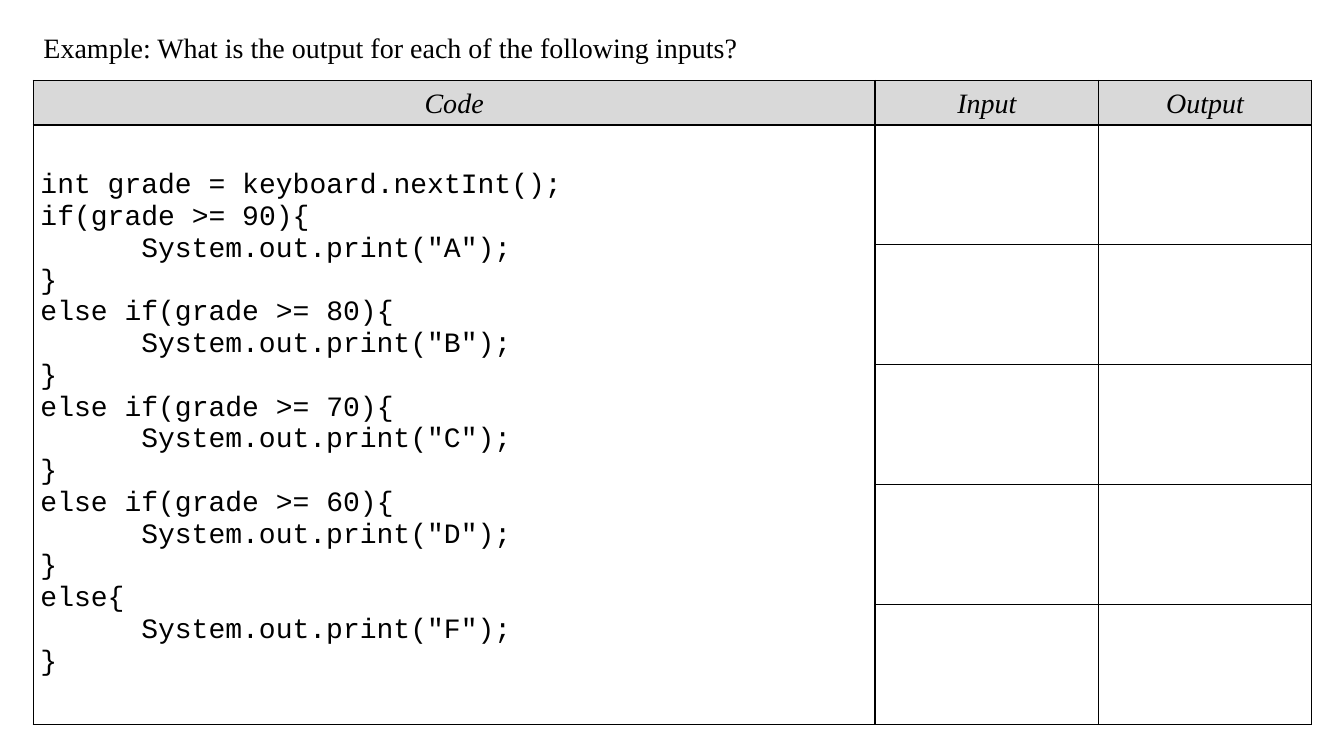
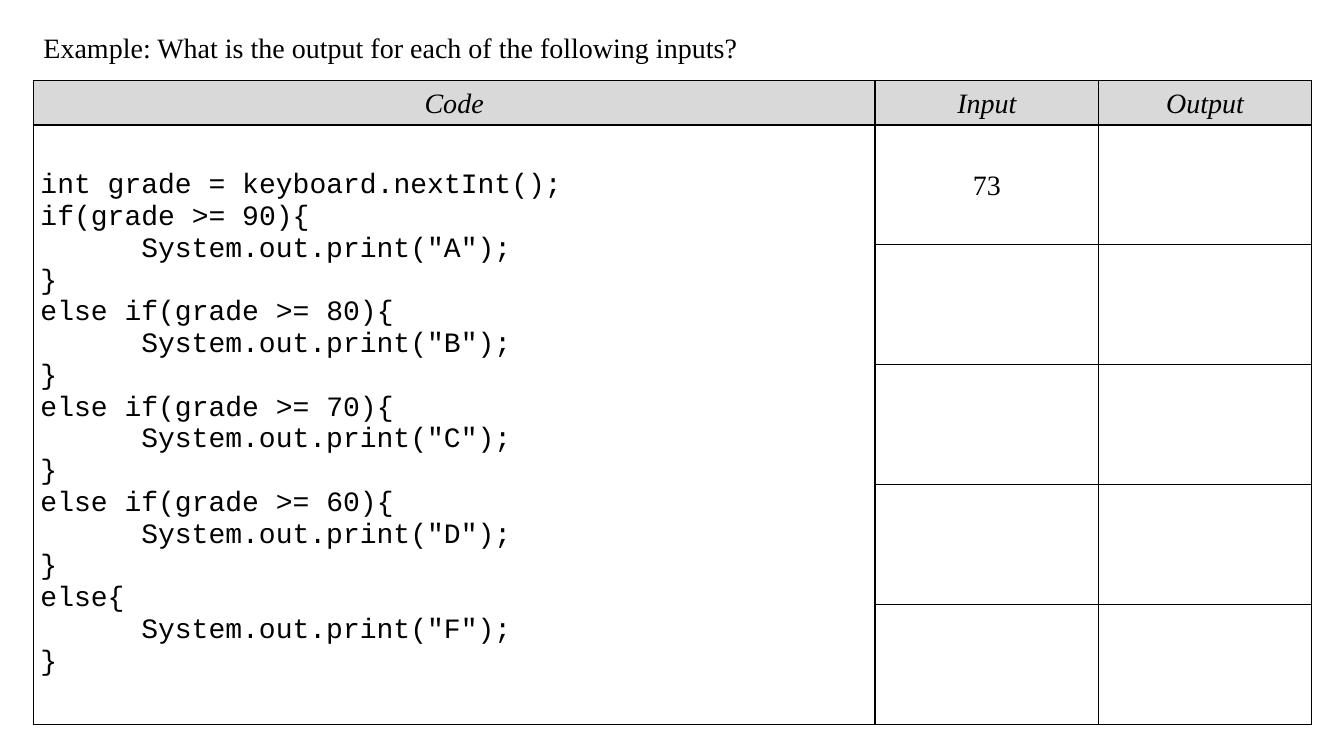
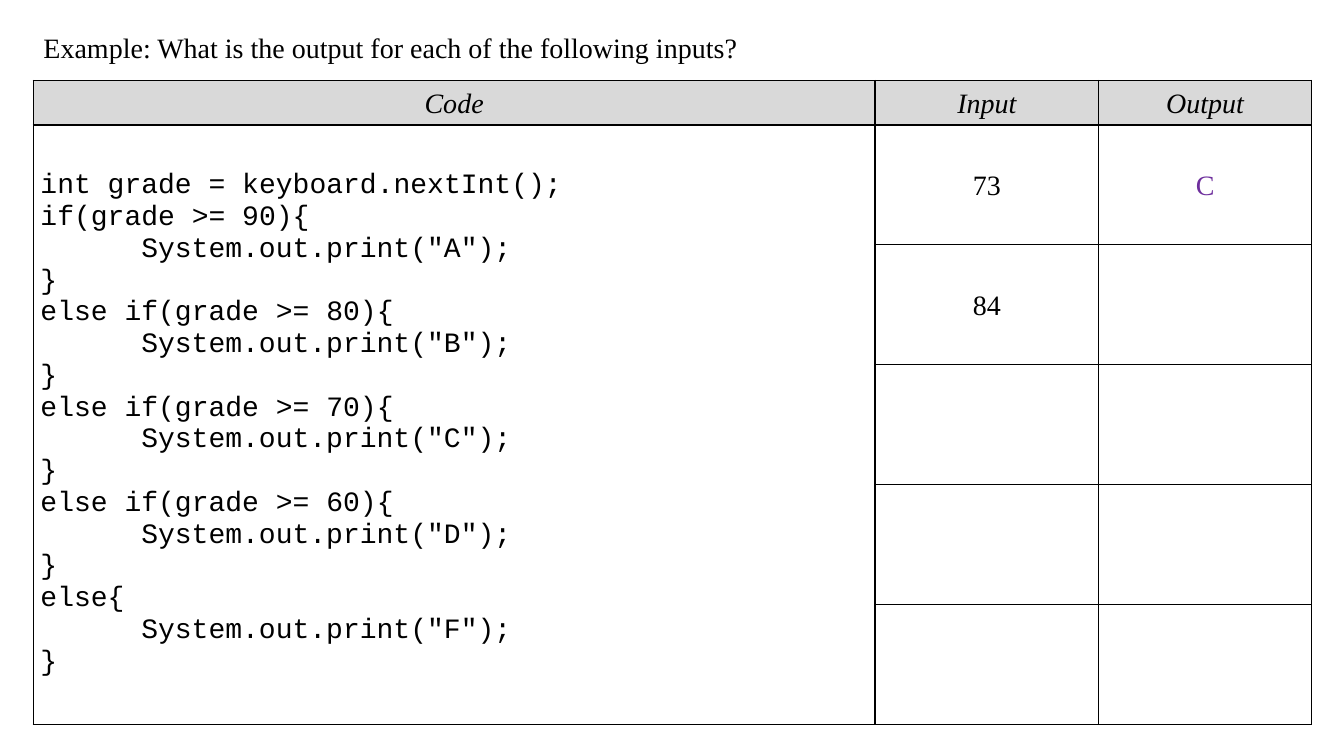
from lxml import etree
from pptx import Presentation
from pptx import util as u
from pptx.dml.color import RGBColor
from pptx.enum import text
from pptx.oxml.ns import qn

BLACK = RGBColor(0x00, 0x00, 0x00)
GREY = RGBColor(0xD9, 0xD9, 0xD9)
PURPLE = RGBColor(0x6E, 0x2F, 0x9D)
SERIF = "Times New Roman"
MONO = "Courier New"

TITLE = "Example: What is the output for each of the following inputs?"
HEADINGS = ["Code", "Input", "Output"]
COLUMN_WIDTHS = [21.21, 5.64, 5.36]
ROW_HEIGHTS = [1.12] + [3.02] * 5
CODE = """int grade = keyboard.nextInt();
if(grade >= 90){
\tSystem.out.print("A");
}
else if(grade >= 80){
\tSystem.out.print("B");
}
else if(grade >= 70){
\tSystem.out.print("C");
}
else if(grade >= 60){
\tSystem.out.print("D");
}
else{
\tSystem.out.print("F");
}"""

# Input and output pairs revealed on each slide
STEPS = [
    [],
    [("73", "")],
    [("73", "C"), ("84", "")],
]


def add_span(para, words, font=SERIF, color=BLACK, italic=False):
    span = para.add_run()
    span.text = words
    span.font.name = font
    span.font.size = u.Pt(20)
    span.font.italic = italic
    span.font.color.rgb = color


def fill_centred(cell, words, color=BLACK, italic=False):
    para = cell.text_frame.paragraphs[0]
    para.alignment = text.PP_ALIGN.CENTER
    para.line_spacing = 1.07
    para.space_after = u.Pt(8)
    add_span(para, words, color=color, italic=italic)


deck = Presentation()
deck.slide_width = u.Cm(33.87)
deck.slide_height = u.Cm(19.05)

for answers in STEPS:
    page = deck.slides.add_slide(deck.slide_layouts[5])

    # Title
    title = page.shapes.title
    title.left, title.top = u.Cm(0.84), u.Cm(0.64)
    title.width, title.height = u.Cm(20.45), u.Cm(1.12)
    frame = title.text_frame
    frame.word_wrap = True
    frame.auto_size = text.MSO_AUTO_SIZE.NONE
    frame.vertical_anchor = text.MSO_ANCHOR.TOP
    para = frame.paragraphs[0]
    para.alignment = text.PP_ALIGN.LEFT
    add_span(para, TITLE)

    # Table grid
    table = page.shapes.add_table(
        len(ROW_HEIGHTS), len(COLUMN_WIDTHS), u.Cm(0.84), u.Cm(2.03),
        u.Cm(sum(COLUMN_WIDTHS)), u.Cm(sum(ROW_HEIGHTS))).table
    table.first_row = False
    table.horz_banding = False
    for column, width in zip(table.columns, COLUMN_WIDTHS):
        column.width = u.Cm(width)
    for row, height in zip(table.rows, ROW_HEIGHTS):
        row.height = u.Cm(height)

    # Cell margins, borders and fills
    for number, row in enumerate(table.rows):
        for cell in row.cells:
            cell.vertical_anchor = text.MSO_ANCHOR.MIDDLE
            cell.margin_left = cell.margin_right = u.Cm(0.18)
            cell.margin_top = cell.margin_bottom = 0
            properties = cell._tc.get_or_add_tcPr()
            for side in ("a:lnL", "a:lnR", "a:lnT", "a:lnB"):
                border = etree.SubElement(properties, qn(side), w=str(u.Pt(1)))
                solid = etree.SubElement(border, qn("a:solidFill"))
                etree.SubElement(solid, qn("a:srgbClr"), val=str(BLACK))
            if number == 0:
                cell.fill.solid()
                cell.fill.fore_color.rgb = GREY
            else:
                cell.fill.background()

    # Header row
    for column, heading in enumerate(HEADINGS):
        fill_centred(table.cell(0, column), heading, italic=True)

    # Code listing, one paragraph a line
    code_cell = table.cell(1, 0)
    code_cell.merge(table.cell(len(ROW_HEIGHTS) - 1, 0))
    frame = code_cell.text_frame
    for number, line in enumerate(CODE.split("\n")):
        para = frame.add_paragraph() if number else frame.paragraphs[0]
        tabs = etree.SubElement(para._p.get_or_add_pPr(), qn("a:tabLst"))
        etree.SubElement(tabs, qn("a:tab"), pos=str(u.Cm(2.54)), algn="l")
        add_span(para, line, font=MONO)

    # Inputs and outputs
    for number, (given, printed) in enumerate(answers, start=1):
        fill_centred(table.cell(number, 1), given)
        if printed:
            fill_centred(table.cell(number, 2), printed, color=PURPLE)

deck.save("out.pptx")
